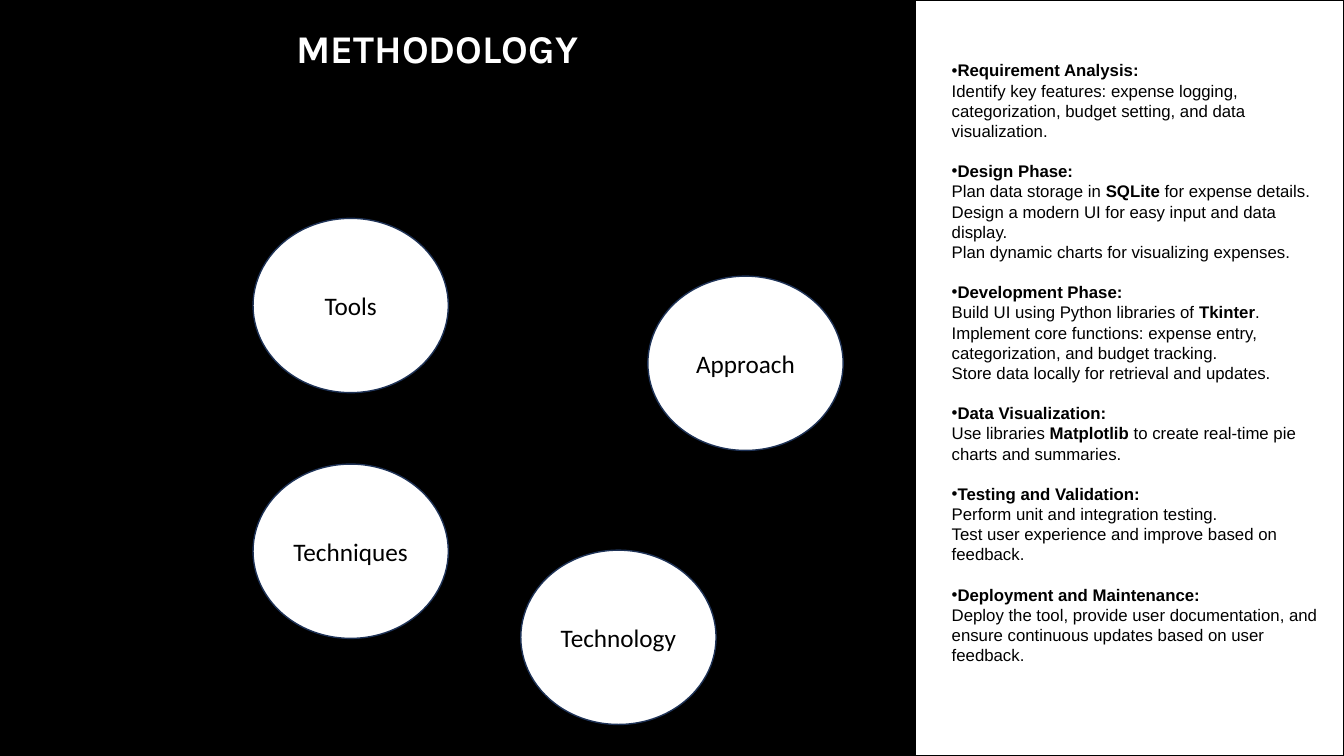
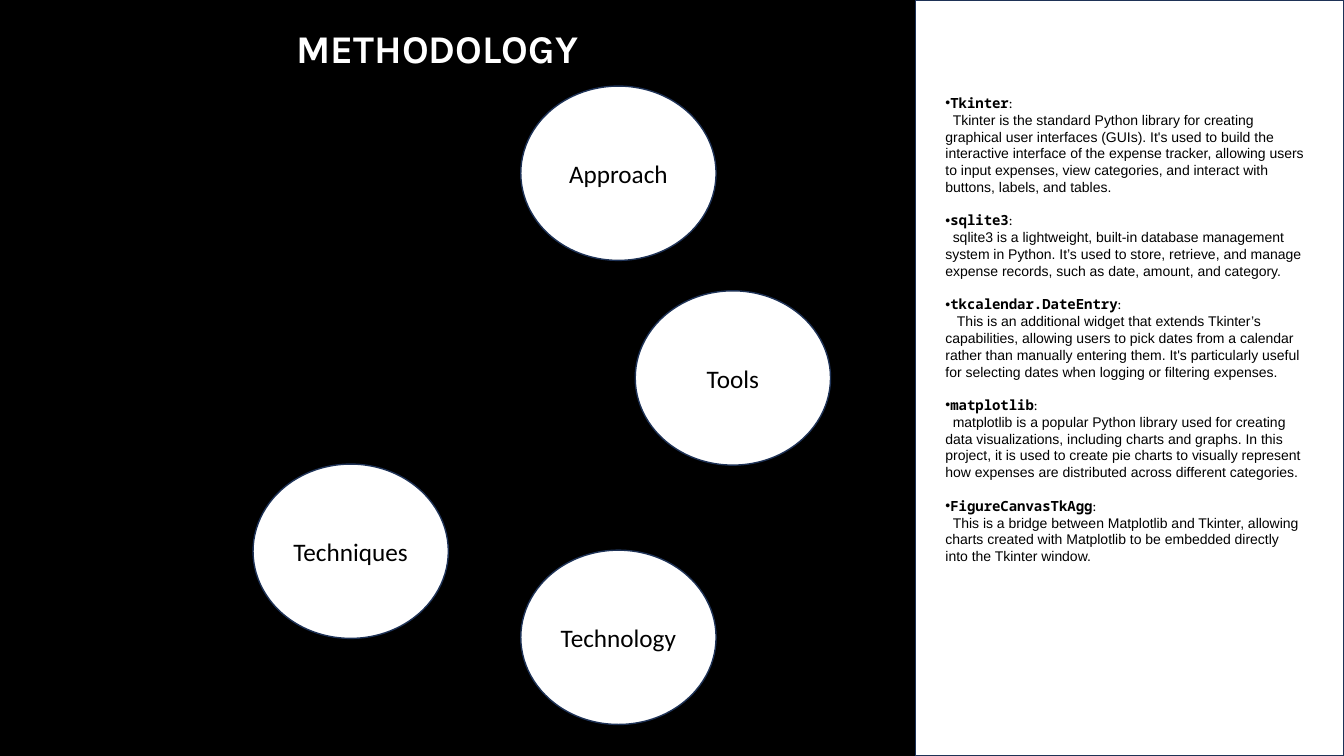
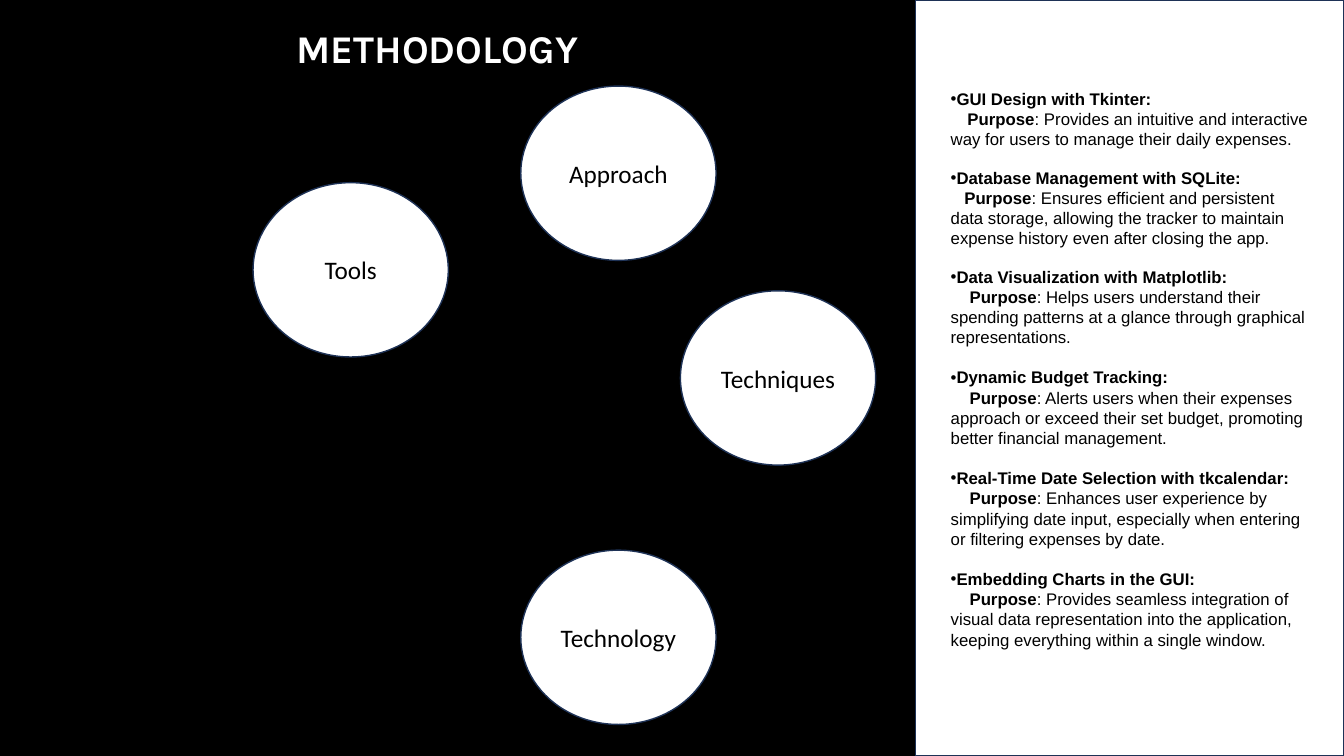
from dataclasses import dataclass
from typing import Any

import lxml.etree
import pptx
import pptx.dml.color
import pptx.enum.shapes
import pptx.enum.text
import pptx.oxml.ns
import pptx.util

EMU_PER_PX = 9525
SLIDE_SIZE = (1280, 720)
TITLE_BOX = (0, 18, 833, 55)
PANEL_BOX = (872, 0, 408, 720)
CIRCLE_SIZE = (186, 166)
TITLE_ONLY_LAYOUT = 5

BLACK = pptx.dml.color.RGBColor(0x00, 0x00, 0x00)
WHITE = pptx.dml.color.RGBColor(0xFF, 0xFF, 0xFF)
NAVY = pptx.dml.color.RGBColor(0x1E, 0x32, 0x56)

TITLE_FONT = {"name": "Karla", "size": pptx.util.Pt(28), "bold": True, "color": WHITE}
CIRCLE_FONT = {"name": "Calibri", "size": pptx.util.Pt(18), "bold": False, "color": BLACK}
LINE_SPACING = 1.2  # line pitch relative to the text size

SHAPE_KINDS = pptx.enum.shapes.MSO_SHAPE
ANCHORS = pptx.enum.text.MSO_ANCHOR
CENTER = pptx.enum.text.PP_ALIGN.CENTER


@dataclass(frozen=True)
class Circle:
    label: str
    left: int
    top: int


@dataclass(frozen=True)
class Topic:
    """A bulleted heading with its lines; **stars** mark bold text."""
    heading: str
    lines: tuple[str, ...]
    indent: int = 0
    gap: float = 14.4


@dataclass(frozen=True)
class MethodSlide:
    circles: tuple[Circle, ...]
    text_box: tuple[int, int, int, int]
    topics: tuple[Topic, ...]
    text_size: int = 12
    heading_font: str = "Arial"
    heading_suffix: str = ""
    bottom_inset: int = 5
    panel_line: pptx.dml.color.RGBColor = NAVY


# Circles that keep their place on several slides
APPROACH = Circle("Approach", 496, 82)
TECHNOLOGY = Circle("Technology", 496, 524)
TECHNIQUES = Circle("Techniques", 241, 442)

# Slide contents
SLIDES = (
    MethodSlide(
        circles=(Circle("Approach", 617, 263), Circle("Tools", 241, 208), TECHNOLOGY, TECHNIQUES),
        text_box=(897, 40, 383, 611),
        panel_line=BLACK,
        topics=(
            Topic("Requirement Analysis:", (
                "Identify key features: expense logging, categorization, budget setting, "
                "and data visualization.",)),
            Topic("Design Phase:", (
                "Plan data storage in **SQLite** for expense details.",
                "Design a modern UI for easy input and data display.",
                "Plan dynamic charts for visualizing expenses.")),
            Topic("Development Phase:", (
                "Build UI using Python libraries of **Tkinter**.",
                "Implement core functions: expense entry, categorization, and budget tracking.",
                "Store data locally for retrieval and updates.")),
            Topic("Data Visualization:", (
                "Use libraries **Matplotlib** to create real-time pie charts and summaries.",)),
            Topic("Testing and Validation:", (
                "Perform unit and integration testing.",
                "Test user experience and improve based on feedback.")),
            Topic("Deployment and Maintenance:", (
                "Deploy the tool, provide user documentation, and ensure continuous updates "
                "based on user feedback.",)),
        ),
    ),
    MethodSlide(
        circles=(APPROACH, Circle("Tools", 605, 277), TECHNOLOGY, TECHNIQUES),
        text_box=(891, 75, 360, 494),
        text_size=10,
        heading_font="Noto Sans Mono",
        heading_suffix=":",
        bottom_inset=21,
        topics=(
            Topic("Tkinter", (
                "Tkinter is the standard Python library for creating graphical user interfaces "
                "(GUIs). It's used to build the interactive interface of the expense tracker, "
                "allowing users to input expenses, view categories, and interact with buttons, "
                "labels, and tables.",), 7, 12),
            Topic("sqlite3", (
                "sqlite3 is a lightweight, built-in database management system in Python. "
                "It’s used to store, retrieve, and manage expense records, such as date, "
                "amount, and category.",), 7, 12),
            Topic("tkcalendar.DateEntry", (
                "This is an additional widget that extends Tkinter’s capabilities, allowing "
                "users to pick dates from a calendar rather than manually entering them. It's "
                "particularly useful for selecting dates when logging or filtering expenses.",),
                11, 12),
            Topic("matplotlib", (
                "matplotlib is a popular Python library used for creating data visualizations, "
                "including charts and graphs. In this project, it is used to create pie charts "
                "to visually represent how expenses are distributed across different "
                "categories.",), 7, 12),
            Topic("FigureCanvasTkAgg", (
                "This is a bridge between Matplotlib and Tkinter, allowing charts created with "
                "Matplotlib to be embedded directly into the Tkinter window.",), 7, 12),
        ),
    ),
    MethodSlide(
        circles=(APPROACH, Circle("Tools", 241, 174), TECHNOLOGY, Circle("Techniques", 648, 277)),
        text_box=(896, 77, 362, 567),
        bottom_inset=23,
        topics=(
            Topic("GUI Design with Tkinter:", (
                "**Purpose**: Provides an intuitive and interactive way for users to manage "
                "their daily expenses.",), 16),
            Topic("Database Management with SQLite:", (
                "**Purpose**: Ensures efficient and persistent data storage, allowing the "
                "tracker to maintain expense history even after closing the app.",), 13, 13.2),
            Topic("Data Visualization with Matplotlib:", (
                "**Purpose**: Helps users understand their spending patterns at a glance "
                "through graphical representations.",), 18, 13.2),
            Topic("Dynamic Budget Tracking:", (
                "**Purpose**: Alerts users when their expenses approach or exceed their set "
                "budget, promoting better financial management.",), 18),
            Topic("Real-Time Date Selection with tkcalendar:", (
                "**Purpose**: Enhances user experience by simplifying date input, especially "
                "when entering or filtering expenses by date.",), 18),
            Topic("Embedding Charts in the GUI:", (
                "**Purpose**: Provides seamless integration of visual data representation into "
                "the application, keeping everything within a single window.",), 18),
        ),
    ),
)


# Formatting helpers
def px(length: int) -> pptx.util.Emu:
    return pptx.util.Emu(length * EMU_PER_PX)


def set_values(target: Any, values: dict[str, Any]) -> None:
    for name, value in values.items():
        if name == "color":
            target.color.rgb = value
        else:
            setattr(target, name, value)


def add_run(paragraph: Any, text: str, font: dict[str, Any]) -> None:
    run = paragraph.add_run()
    run.text = text
    set_values(run.font, font)


def set_bullet(paragraph: Any) -> None:
    properties = paragraph._p.get_or_add_pPr()
    for tag, attribute, value in (("a:buFont", "typeface", "Arial"), ("a:buChar", "char", "•")):
        element = lxml.etree.SubElement(properties, pptx.oxml.ns.qn(tag))
        element.set(attribute, value)


def set_first_line_indent(paragraph: Any, indent: int) -> None:
    properties = paragraph._p.get_or_add_pPr()
    properties.set("marL", "0")
    properties.set("indent", str(px(indent)))


# Slide parts
def set_title(slide: Any) -> None:
    title = slide.shapes.title
    set_values(title, dict(zip(("left", "top", "width", "height"), map(px, TITLE_BOX))))
    set_values(title.text_frame, {
        "word_wrap": True,
        "vertical_anchor": ANCHORS.TOP,
        "auto_size": pptx.enum.text.MSO_AUTO_SIZE.NONE,
    })
    paragraph = title.text_frame.paragraphs[0]
    paragraph.alignment = CENTER
    add_run(paragraph, "METHODOLOGY", TITLE_FONT)


def add_white_shape(slide: Any, kind: Any, box: tuple[int, int, int, int],
                    line_color: pptx.dml.color.RGBColor) -> Any:
    shape = slide.shapes.add_shape(kind, *map(px, box))
    shape.shadow.inherit = False
    shape.fill.solid()
    shape.fill.fore_color.rgb = WHITE
    set_values(shape.line, {"color": line_color, "width": pptx.util.Pt(1)})
    return shape


def add_circle(slide: Any, circle: Circle) -> None:
    box = (circle.left, circle.top, *CIRCLE_SIZE)
    shape = add_white_shape(slide, SHAPE_KINDS.OVAL, box, NAVY)
    set_values(shape.text_frame, {
        "margin_left": 0, "margin_right": 0, "vertical_anchor": ANCHORS.MIDDLE,
    })
    paragraph = shape.text_frame.paragraphs[0]
    paragraph.alignment = CENTER
    add_run(paragraph, circle.label, CIRCLE_FONT)


def add_topics(slide: Any, content: MethodSlide) -> None:
    frame = slide.shapes.add_textbox(*map(px, content.text_box)).text_frame
    set_values(frame, {
        "word_wrap": True,
        "vertical_anchor": ANCHORS.MIDDLE,
        "margin_bottom": px(content.bottom_inset),
    })
    size = pptx.util.Pt(content.text_size)
    body_font = {"name": "Arial", "size": size, "bold": False, "color": BLACK}
    heading_font = body_font | {"name": content.heading_font, "bold": True}
    spacing = pptx.util.Pt(content.text_size * LINE_SPACING)

    for index, topic in enumerate(content.topics):
        heading = frame.add_paragraph() if index else frame.paragraphs[0]
        set_bullet(heading)
        set_first_line_indent(heading, 0)
        heading.line_spacing = spacing
        heading.space_before = pptx.util.Pt(topic.gap if index else 0)
        add_run(heading, topic.heading, heading_font)
        if content.heading_suffix:
            add_run(heading, content.heading_suffix, body_font | {"name": "Calibri"})

        for line in topic.lines:
            paragraph = frame.add_paragraph()
            set_first_line_indent(paragraph, topic.indent)
            paragraph.line_spacing = spacing
            for position, text in enumerate(line.split("**")):
                if text:
                    add_run(paragraph, text, body_font | {"bold": position % 2 == 1})


def add_method_slide(presentation: Any, content: MethodSlide) -> None:
    slide = presentation.slides.add_slide(presentation.slide_layouts[TITLE_ONLY_LAYOUT])
    set_title(slide)
    for circle in content.circles:
        add_circle(slide, circle)
    add_white_shape(slide, SHAPE_KINDS.RECTANGLE, PANEL_BOX, content.panel_line)
    add_topics(slide, content)


def main() -> None:
    presentation = pptx.Presentation()
    presentation.slide_width, presentation.slide_height = map(px, SLIDE_SIZE)
    background = presentation.slide_master.background.fill
    background.solid()
    background.fore_color.rgb = BLACK
    for content in SLIDES:
        add_method_slide(presentation, content)
    presentation.save("out.pptx")


if __name__ == "__main__":
    main()
